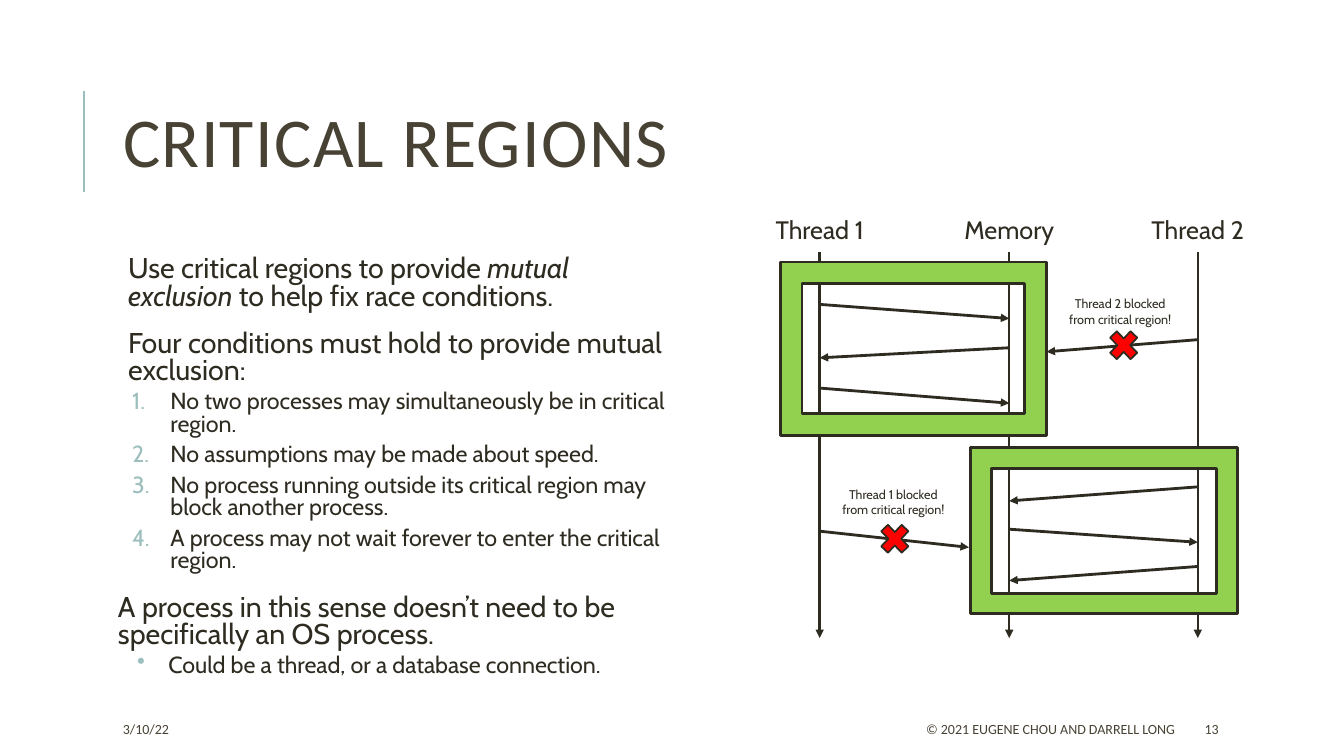
from lxml import etree
from pptx import Presentation
from pptx.dml.color import RGBColor
from pptx.enum.shapes import MSO_CONNECTOR, MSO_SHAPE
from pptx.enum.text import MSO_ANCHOR, MSO_AUTO_SIZE, PP_ALIGN
from pptx.oxml.ns import qn
from pptx.util import Emu, Pt

LEFT, MID, RIGHT = PP_ALIGN.LEFT, PP_ALIGN.CENTER, PP_ALIGN.RIGHT
TOP, CENTER = MSO_ANCHOR.TOP, MSO_ANCHOR.MIDDLE
STRAIGHT = MSO_CONNECTOR.STRAIGHT
FRAME, CROSS = MSO_SHAPE.FRAME, MSO_SHAPE.MATH_MULTIPLY
INK, BROWN, TEAL, GREEN, RED = "2E2B21", "474233", "9CBEBD", "92D050", "FF0000"
BODY, HEAD = "Cabin", "Calibri"

# Content: lengths are px, 100 to the inch
TITLE = "CRITICAL REGIONS"
POINTS = [  # style, runs as (text, italic)
    ("lead", [("Use critical regions to provide ", False), ("mutual exclusion", True),
              (" to help fix race conditions.", False)]),
    ("lead", [("Four conditions must hold to provide mutual exclusion:", False)]),
    ("number", [("No two processes may simultaneously be in critical region.", False)]),
    ("number", [("No assumptions may be made about speed.", False)]),
    ("number", [("No process running outside its critical region may block another process.", False)]),
    ("number", [("A process may not wait forever to enter the critical region.", False)]),
    ("plain", [("A process in this sense doesn’t need to be specifically an OS process.", False)]),
    ("dot", [("Could be a thread, or a database connection.", False)]),
]
STYLES = {  # level, margin, indent, size, space before, space after, bullet tag and attributes
    "lead": (0, 10, 0, 20.4, 12, 2, "a:buNone", {}),
    "plain": (0, 0, 0, 20.4, 12, 2, "a:buNone", {}),
    "number": (1, 52, -38, 16.6, 2, 4, "a:buAutoNum", {"type": "arabicPeriod"}),
    "dot": (1, 50, -31, 16.6, 2, 4, "a:buChar", {"char": "•"}),
}
LANES = [("Thread 1", 813), ("Memory", 1001), ("Thread 2", 1188)]
SPAN = (250, 633)
CALLS = [  # from lane, y, to lane, y
    (0, 302, 1, 316), (1, 345, 0, 355), (0, 385, 1, 400),
    (2, 483, 1, 497), (1, 525, 2, 538), (2, 562, 1, 576),
]
BLOCKS = [  # lane, y, end x, end y, cross box, label box, label
    (2, 337, 1038, 349, (1095, 322, 39, 41), (1048, 289, 126, 40),
     "Thread 2 blocked from critical region!"),
    (0, 527, 961, 543, (868, 514, 39, 41), (823, 478, 126, 40),
     "Thread 1 blocked from critical region!"),
]
REGIONS = [(774, 260, 264, 172), (963, 444, 264, 165)]
FOOTER = [
    ("3/10/22", (112, 708, 236, 30), LEFT),
    ("© 2021 EUGENE CHOU AND DARRELL LONG", (530, 708, 645, 30), RIGHT),
    ("13", (1185, 708, 106, 30), LEFT),
]


def px(n):
    return Emu(n * 9144)


def color(code):
    return RGBColor.from_string(code)


def place(shape, box):
    shape.left, shape.top, shape.width, shape.height = map(px, box)


def style(run, size, face, code):
    run.font.size = Pt(size)
    run.font.name = face
    run.font.color.rgb = color(code)


def setup(frame, anchor):
    frame.word_wrap = True
    frame.auto_size = MSO_AUTO_SIZE.NONE
    frame.vertical_anchor = anchor


def label(text, box, size, face=BODY, code=INK, align=MID, anchor=TOP):
    frame = slide.shapes.add_textbox(*map(px, box)).text_frame
    setup(frame, anchor)
    frame.text = text
    frame.paragraphs[0].alignment = align
    style(frame.paragraphs[0].runs[0], size, face, code)


def line(x1, y1, x2, y2, width, code=INK, arrow=True):
    link = slide.shapes.add_connector(STRAIGHT, *map(px, (x1, y1, x2, y2)))
    link.line.color.rgb = color(code)
    link.line.width = Pt(width)
    props = link._element.spPr
    if arrow:
        etree.SubElement(props.find(qn("a:ln")), qn("a:tailEnd"), type="triangle")
    etree.SubElement(props, qn("a:effectLst"))


def solid(kind, box, fill, width):
    shape = slide.shapes.add_shape(kind, *map(px, box))
    shape.shadow.inherit = False
    shape.fill.solid()
    shape.fill.fore_color.rgb = color(fill)
    shape.line.color.rgb = color(INK)
    shape.line.width = Pt(width)


def bullet(para, margin, indent, tag, attrs):
    props = para._p.get_or_add_pPr()
    props.set("marL", str(px(margin)))
    props.set("indent", str(px(indent)))
    if attrs:
        tint = etree.SubElement(props, qn("a:buClr"))
        etree.SubElement(tint, qn("a:srgbClr"), val=TEAL)
    etree.SubElement(props, qn(tag), attrs)


deck = Presentation()
deck.slide_width, deck.slide_height = px(1333), px(750)
slide = deck.slides.add_slide(deck.slide_layouts[5])

# Title and its rule
line(83, 190, 83, 90, 1.5, TEAL, False)
title = slide.shapes.title
place(title, (112, 64, 1063, 164))
setup(title.text_frame, CENTER)
title.text_frame.text = TITLE
head = title.text_frame.paragraphs[0]
head.alignment = LEFT
head.line_spacing = 0.8
style(head.runs[0], 50, HEAD, BROWN)
head.runs[0].font._element.set("spc", "100")

# Body text
body = slide.shapes.add_textbox(*map(px, (112, 250, 562, 440))).text_frame
setup(body, TOP)
body.margin_left = body.margin_right = body.margin_top = body.margin_bottom = px(5)
for i, (kind, runs) in enumerate(POINTS):
    level, margin, indent, size, before, after, tag, attrs = STYLES[kind]
    para = body.add_paragraph() if i else body.paragraphs[0]
    bullet(para, margin, indent, tag, attrs)
    para.level = level
    para.line_spacing = 0.8
    para.space_before = Pt(before if i else 0)
    para.space_after = Pt(after)
    for text, slant in runs:
        run = para.add_run()
        run.text = text
        style(run, size, BODY, INK)
        run.font.italic = slant

# Lifelines and messages
for name, x in LANES:
    label(name, (x - 72, 208, 144, 40), 18)
    line(x, SPAN[0], x, SPAN[1], 1.75)
for start, y1, end, y2 in CALLS:
    line(LANES[start][1], y1, LANES[end][1], y2, 2)

# Critical regions
for box in REGIONS:
    solid(FRAME, box, GREEN, 2)

# Blocked attempts
for lane, y1, x2, y2, cross, box, text in BLOCKS:
    line(LANES[lane][1], y1, x2, y2, 2)
    solid(CROSS, cross, RED, 1.25)
    label(text, box, 9)

# Footer
for text, box, align in FOOTER:
    label(text, box, 10, HEAD, BROWN, align, CENTER)

deck.save("out.pptx")
